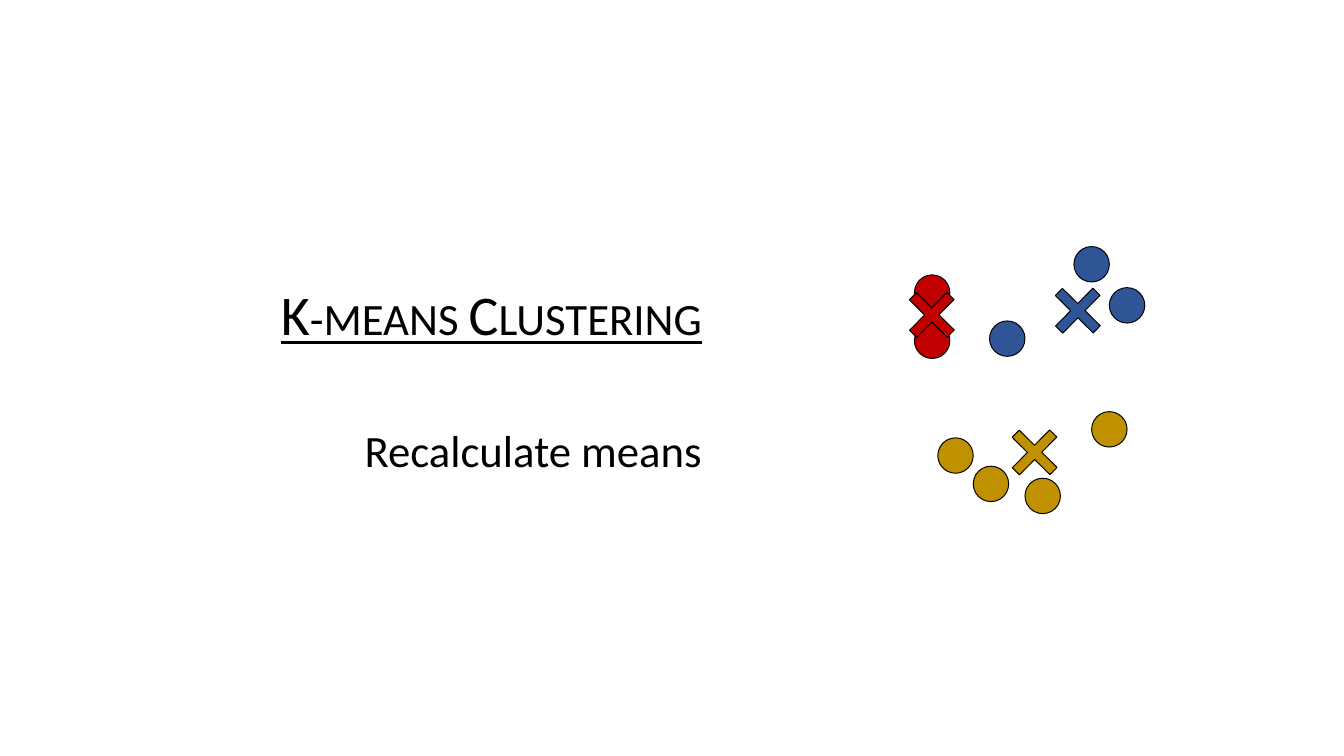
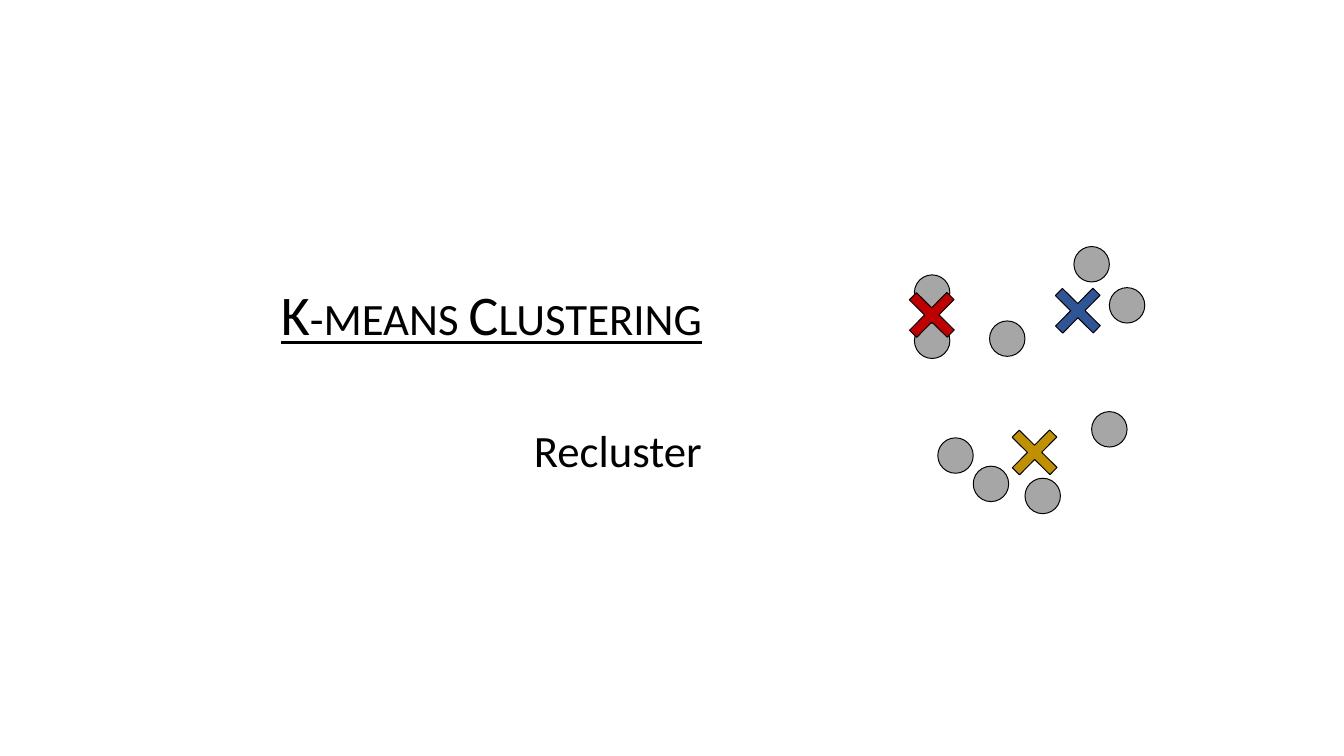
from pptx import Presentation
from pptx.dml.color import RGBColor
from pptx.enum.shapes import MSO_SHAPE
from pptx.enum.text import MSO_ANCHOR, PP_ALIGN
from pptx.util import Inches, Pt

BLACK = RGBColor(0x00, 0x00, 0x00)
RED = RGBColor(0xC0, 0x00, 0x00)
BLUE = RGBColor(0x2F, 0x55, 0x97)
GOLD = RGBColor(0xBF, 0x90, 0x00)
GRAY = RGBColor(0xA6, 0xA6, 0xA6)

FONT = "Calibri"
TITLE = "K-means Clustering"
TEXT_BOX = (0, 1.29, 10, 8.09)
PLOT_ORIGIN = (12.77, 3.48)
POINT_SIZE = 0.5
MEAN_SIZE = 0.75

CLUSTERS = [
    (RED, (0, 0.59), [(0.13, 0.4), (0.13, 1.08)]),
    (BLUE, (2.06, 0.53), [(2.38, 0), (1.19, 1.05), (2.88, 0.58)]),
    (GOLD, (1.45, 2.53), [(0.46, 2.7), (1.69, 3.27), (2.63, 2.33), (0.96, 3.1)]),
]

STEPS = [("Recalculate means", True), ("Recluster", False)]


def add_marker(slide, kind, origin, offset, size, color):
    left, top = (Inches(o + d) for o, d in zip(origin, offset))
    sp = slide.shapes.add_shape(kind, left, top, Inches(size), Inches(size))
    sp.shadow.inherit = False
    sp.fill.solid()
    sp.fill.fore_color.rgb = color
    sp.line.color.rgb = BLACK
    sp.line.width = Pt(1)
    return sp


def add_clusters(slide, origin, assigned):
    for color, _, points in CLUSTERS:
        for point in points:
            add_marker(slide, MSO_SHAPE.OVAL, origin, point, POINT_SIZE,
                       color if assigned else GRAY)
    for color, mean, _ in CLUSTERS:
        sp = add_marker(slide, MSO_SHAPE.CROSS, origin, mean, MEAN_SIZE, color)
        sp.adjustments[0] = 0.405
        sp.rotation = 44.6


def style_paragraph(p, text, size):
    p.text = text
    p.alignment = PP_ALIGN.RIGHT
    r = p.runs[0]
    r.font.name = FONT
    r.font.size = Pt(size)
    r.font.color.rgb = BLACK
    return r


def add_heading(slide, box, step):
    tf = slide.shapes.add_textbox(*map(Inches, box)).text_frame
    tf.word_wrap = True
    tf.vertical_anchor = MSO_ANCHOR.MIDDLE
    title = tf.paragraphs[0]
    r = style_paragraph(title, TITLE, 56.9)
    r.font.underline = True
    r.font._element.set("cap", "small")
    title.space_after = Pt(8.5)
    p = tf.add_paragraph()
    style_paragraph(p, step, 45.5)
    p.space_before = Pt(69.7)


def main():
    prs = Presentation()
    prs.slide_width = Inches(18.96)
    prs.slide_height = Inches(10.67)
    for step, assigned in STEPS:
        slide = prs.slides.add_slide(prs.slide_layouts[6])
        add_heading(slide, TEXT_BOX, step)
        add_clusters(slide, PLOT_ORIGIN, assigned)
    prs.save("out.pptx")


if __name__ == "__main__":
    main()
